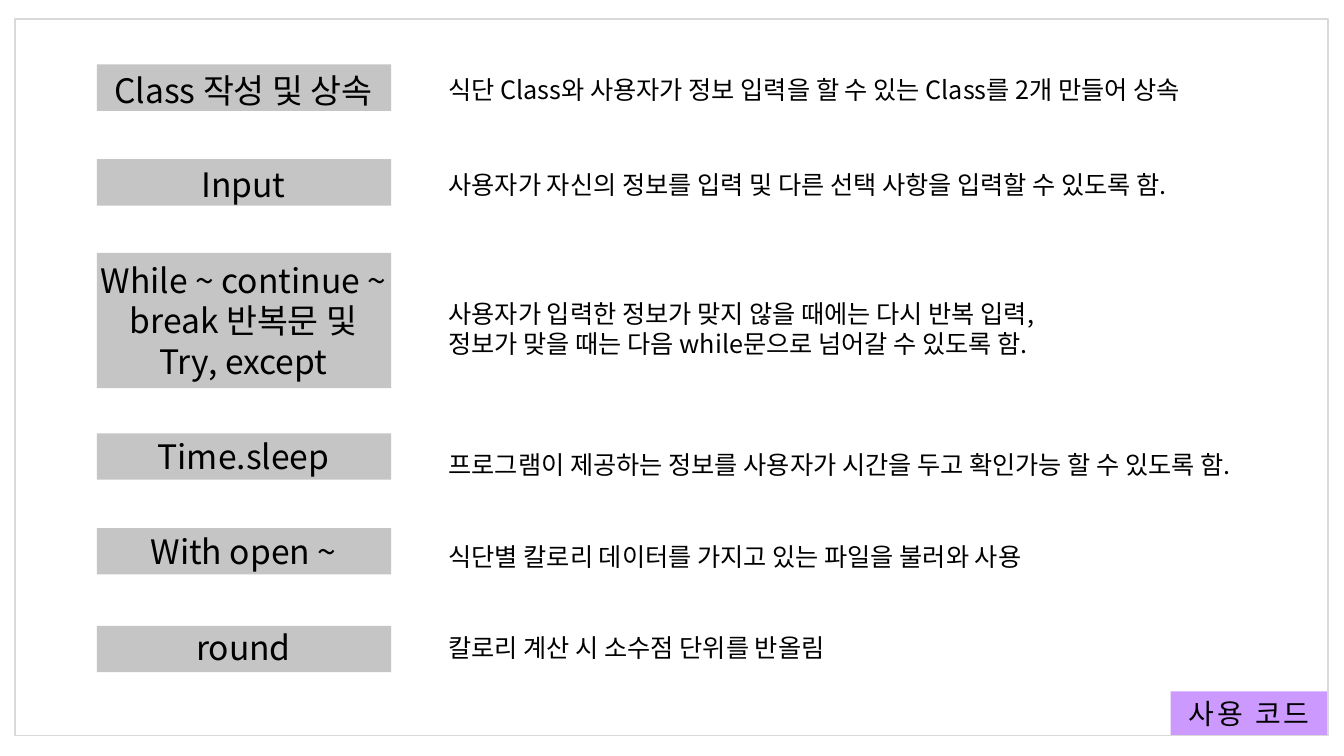
from pptx import Presentation
from pptx.dml.color import RGBColor as RGB
from pptx.enum.shapes import MSO_SHAPE as Shape
from pptx.enum.text import MSO_ANCHOR as Anchor, MSO_AUTO_SIZE as Auto, PP_ALIGN as Align
from pptx.oxml.ns import qn
from pptx.util import Inches, Pt
from lxml.etree import SubElement

FONT = "Noto Sans CJK KR"
HUES = {"ink": "000000", "bar": "A6A6A6", "edge": "D9D9D9", "tag": "CC99FF"}

# Bar top, bar height, label top, label height, label lines, note top, note lines
ROWS = [
    (0.64, 0.46, 0.64, 0.5, ["Class 작성 및 상속"],
     0.69, ["식단 Class와 사용자가 정보 입력을 할 수 있는 Class를 2개 만들어 상속"]),
    (1.58, 0.46, 1.58, 0.5, ["Input"],
     1.63, ["사용자가 자신의 정보를 입력 및 다른 선택 사항을 입력할 수 있도록 함."]),
    (2.51, 1.34, 2.53, 1.31, ["While ~ continue ~ break 반복문 및", "Try, except"],
     2.91, ["사용자가 입력한 정보가 맞지 않을 때에는 다시 반복 입력,",
            "정보가 맞을 때는 다음 while문으로 넘어갈 수 있도록 함."]),
    (4.3, 0.46, 4.28, 0.5, ["Time.sleep"],
     4.41, ["프로그램이 제공하는 정보를 사용자가 시간을 두고 확인가능 할 수 있도록 함."]),
    (5.24, 0.46, 5.22, 0.5, ["With open ~"],
     5.32, ["식단별 칼로리 데이터를 가지고 있는 파일을 불러와 사용"]),
    (6.21, 0.46, 6.17, 0.5, ["round"],
     6.22, ["칼로리 계산 시 소수점 단위를 반올림"]),
]


def hue(name):
    return RGB.from_string(HUES[name])


def assign(item, **vals):
    for key, val in vals.items():
        setattr(item, key, val)


def write(frame, lines, size, align, gap=None):
    """Fill a text frame with one paragraph per line."""
    frame.text = "\n".join(lines)
    for para in frame.paragraphs:
        para.alignment = align
        for run in para.runs:
            assign(run.font, name=FONT, size=Pt(size))
            run.font.color.rgb = hue("ink")
            props = run.font._element
            SubElement(props, qn("a:ea")).set("typeface", FONT)
            if gap:
                props.set("spc", str(gap * 100))


def add_rect(slide, box, fill=None, alpha=None, edge=None):
    rect = slide.shapes.add_shape(Shape.RECTANGLE, *map(Inches, box))
    rect.shadow.inherit = False
    if fill:
        rect.fill.solid()
        rect.fill.fore_color.rgb = hue(fill)
    else:
        rect.fill.background()
    if alpha:
        shade = rect._element.spPr.find(qn("a:solidFill"))[0]
        SubElement(shade, qn("a:alpha")).set("val", str(alpha * 1000))
    if edge:
        rect.line.color.rgb = hue(edge)
        rect.line.width = Pt(1)
    else:
        rect.line.fill.background()


def add_text(slide, box, lines, size, align):
    frame = slide.shapes.add_textbox(*map(Inches, box)).text_frame
    assign(frame, word_wrap=True, auto_size=Auto.SHAPE_TO_FIT_TEXT)
    write(frame, lines, size, align)


def set_title(slide, box, text):
    """Turn the title placeholder into the corner tag."""
    title = slide.shapes.title
    left, top, width, height = map(Inches, box)
    assign(title, left=left, top=top, width=width, height=height)
    title.fill.solid()
    title.fill.fore_color.rgb = hue("tag")
    frame = title.text_frame
    assign(frame, word_wrap=True, auto_size=Auto.NONE, vertical_anchor=Anchor.MIDDLE)
    write(frame, [text], 20, Align.CENTER, gap=2)


def main():
    deck = Presentation()
    assign(deck, slide_width=Inches(13.33), slide_height=Inches(7.5))
    slide = deck.slides.add_slide(deck.slide_layouts[5])

    # Frame and corner title
    add_rect(slide, (0.15, 0.19, 13.02, 7.11), edge="edge")
    set_title(slide, (11.61, 6.86, 1.56, 0.44), "사용 코드")

    # Code labels on grey bars, with their notes
    for top, high, y, tall, label, note_y, note in ROWS:
        add_rect(slide, (0.96, top, 2.92, high), fill="bar", alpha=65)
        add_text(slide, (0.85, y, 3.13, tall), label, 24, Align.CENTER)
        deep = 0.4 + 0.31 * (len(note) - 1)
        add_text(slide, (4.35, note_y, 8.94, deep), note, 18, Align.LEFT)

    deck.save("out.pptx")


if __name__ == "__main__":
    main()
